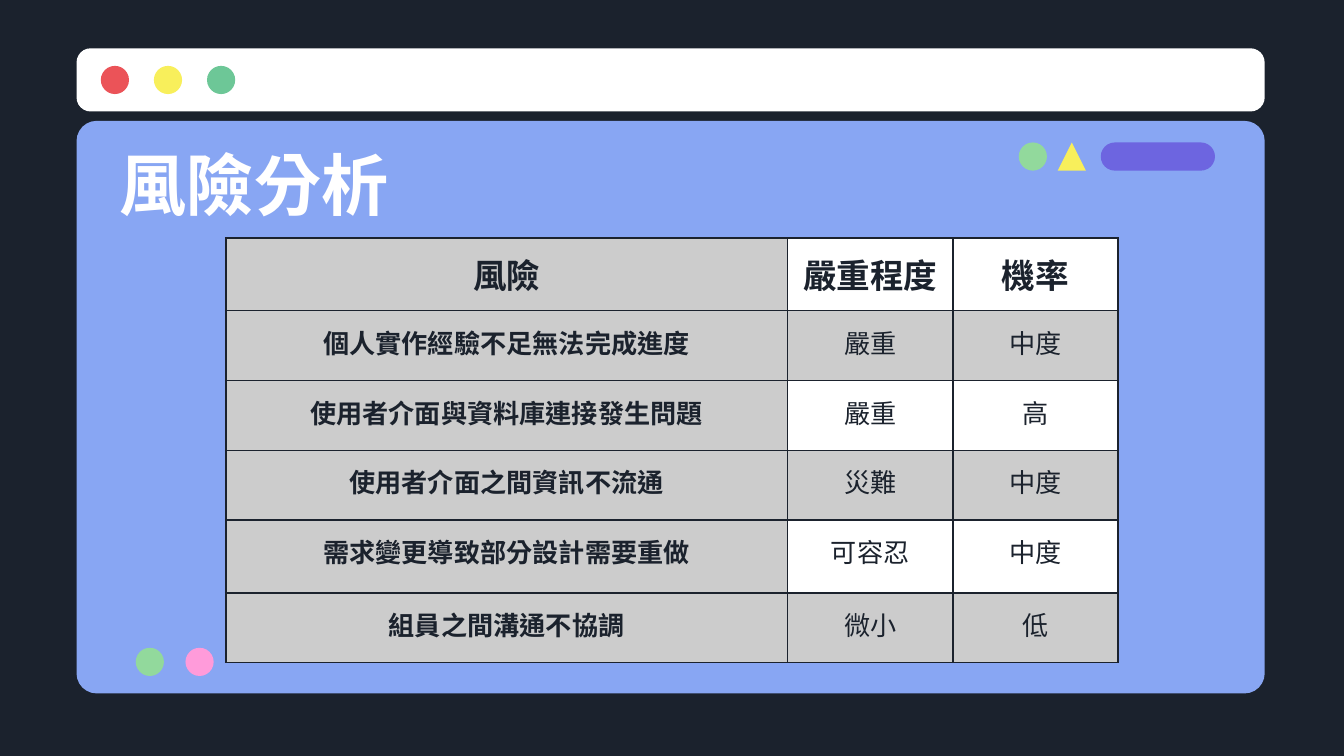
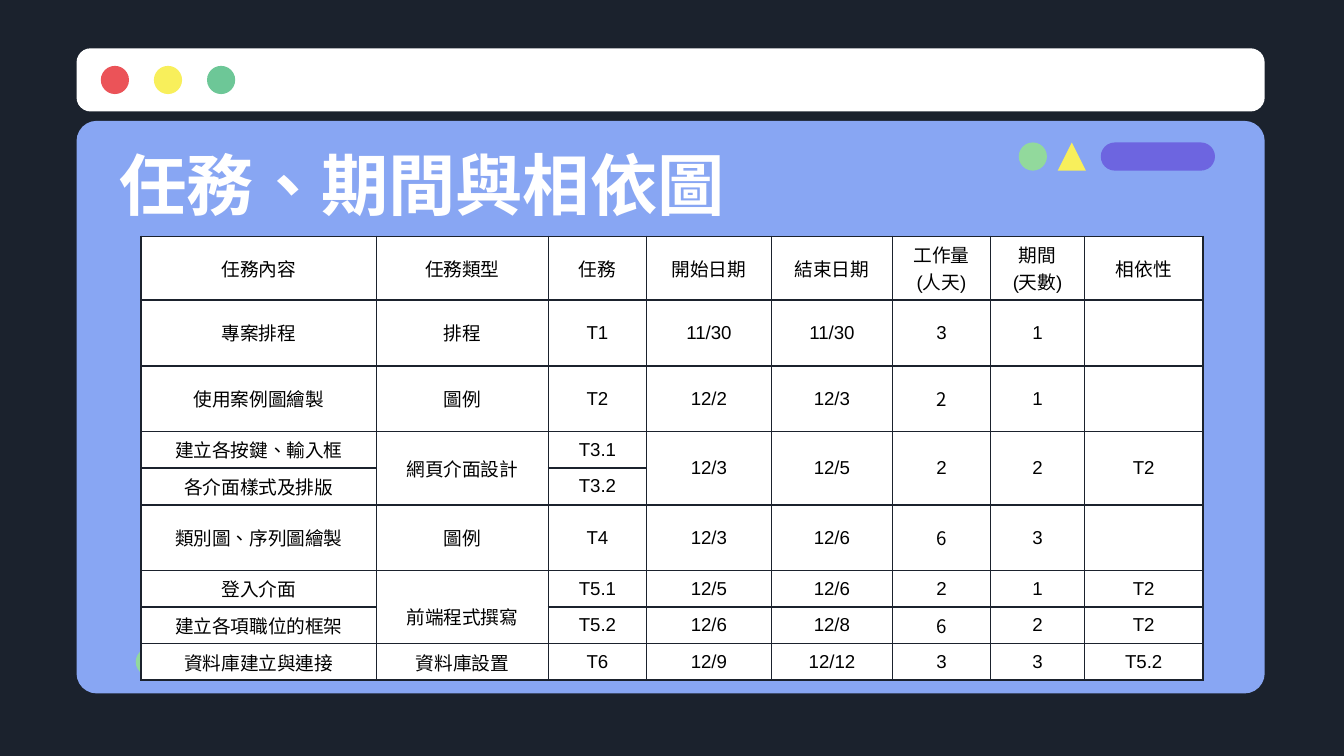
from dataclasses import dataclass

from lxml.etree import SubElement
from pptx import Presentation
from pptx.dml.color import RGBColor
from pptx.enum.shapes import MSO_SHAPE
from pptx.enum.text import MSO_ANCHOR, MSO_AUTO_SIZE, PP_ALIGN
from pptx.oxml.ns import qn
from pptx.util import Inches, Pt


@dataclass(frozen=True)
class Theme:
    dark: str = "1B222D"
    panel: str = "88A6F3"
    white: str = "FFFFFF"
    black: str = "000000"
    gray: str = "CCCCCC"
    red: str = "EB5358"
    yellow: str = "F8EF5B"
    green: str = "6DC797"
    light_green: str = "92D99C"
    purple: str = "6D65E0"
    pink: str = "FF9BDA"
    chinese_font: str = "Noto Sans CJK SC"
    latin_font: str = "Arial"
    language: str = "zh-TW"
    title_size: float = 36
    header_size: float = 18
    risk_size: float = 14
    task_size: float = 10
    border_width: float = 1


THEME = Theme()
DOT = 0.21

RISKS = [
    ("風險", "嚴重程度", "機率"),
    ("個人實作經驗不足無法完成進度", "嚴重", "中度"),
    ("使用者介面與資料庫連接發生問題", "嚴重", "高"),
    ("使用者介面之間資訊不流通", "災難", "中度"),
    ("需求變更導致部分設計需要重做", "可容忍", "中度"),
    ("組員之間溝通不協調", "微小", "低"),
]

TASKS = [
    ("任務內容", "任務類型", "任務", "開始日期", "結束日期", "工作量\n(人天)", "期間\n(天數)", "相依性"),
    ("專案排程", "排程", "T1", "11/30", "11/30", "3", "1", ""),
    ("使用案例圖繪製", "圖例", "T2", "12/2", "12/3", "2", "1", ""),
    ("建立各按鍵、輸入框", "網頁介面設計", "T3.1", "12/3", "12/5", "2", "2", "T2"),
    ("各介面樣式及排版", "", "T3.2", "", "", "", "", ""),
    ("類別圖、序列圖繪製", "圖例", "T4", "12/3", "12/6", "6", "3", ""),
    ("登入介面", "前端程式撰寫", "T5.1", "12/5", "12/6", "2", "1", "T2"),
    ("建立各項職位的框架", "", "T5.2", "12/6", "12/8", "6", "2", "T2"),
    ("資料庫建立與連接", "資料庫設置", "T6", "12/9", "12/12", "3", "3", "T5.2"),
]
MERGED_STARTS = [(3, column) for column in (1, 3, 4, 5, 6, 7)] + [(6, 1)]
CHINESE_FONT_CELLS = {(2, 5), (5, 5), (7, 5)}


def color(value):
    return RGBColor.from_string(value)


def add_run(paragraph, text, size, font_name, text_color, bold=False):
    run = paragraph.add_run()
    run.text = text
    run.font.size = Pt(size)
    run.font.bold = bold
    run.font.color.rgb = color(text_color)
    run.font.name = font_name
    properties = run.font._element
    properties.set("lang", THEME.language)
    SubElement(properties, qn("a:ea"), typeface=THEME.chinese_font)


def add_layout_shape(slide, kind, left, top, width, height, fill, adjustment=None):
    shape = slide.shapes.add_shape(
        kind, Inches(left), Inches(top), Inches(width), Inches(height))
    shape.shadow.inherit = False
    shape.fill.solid()
    shape.fill.fore_color.rgb = color(fill)
    shape.line.fill.background()
    if adjustment is not None:
        shape.adjustments[0] = adjustment
    slide.slide_layout.shapes.element.append(shape.element)


def add_dot(slide, left, top, fill):
    add_layout_shape(slide, MSO_SHAPE.OVAL, left, top, DOT, DOT, fill)


def prepare_layout(layout):
    layout.background.fill.solid()
    layout.background.fill.fore_color.rgb = color(THEME.dark)
    for placeholder in list(layout.placeholders):
        if placeholder.placeholder_format.idx != 0:
            placeholder.element.getparent().remove(placeholder.element)


def draw_window(slide):
    rounded = MSO_SHAPE.ROUNDED_RECTANGLE
    add_layout_shape(slide, rounded, 0.57, 0.9, 8.84, 4.26, THEME.panel, 0.035)
    add_layout_shape(slide, rounded, 0.57, 0.36, 8.84, 0.47, THEME.white, 0.223)
    for index, fill in enumerate((THEME.red, THEME.yellow, THEME.green)):
        add_dot(slide, 0.75 + index * 0.395, 0.49, fill)
    add_dot(slide, 7.58, 1.06, THEME.light_green)
    add_layout_shape(slide, MSO_SHAPE.ISOSCELES_TRIANGLE, 7.87, 1.06, DOT, DOT, THEME.yellow)
    add_layout_shape(slide, rounded, 8.19, 1.06, 0.85, DOT, THEME.purple, 0.5)
    add_dot(slide, 1.38, 4.82, THEME.pink)
    add_dot(slide, 1.01, 4.82, THEME.light_green)


def set_title(slide, text):
    title = slide.shapes.title
    title.left, title.top = Inches(0.79), Inches(1.06)
    title.width, title.height = Inches(8.43), Inches(0.62)
    frame = title.text_frame
    frame.auto_size = MSO_AUTO_SIZE.NONE
    frame.word_wrap = True
    frame.vertical_anchor = MSO_ANCHOR.MIDDLE
    frame.margin_left = frame.margin_right = Inches(0.1)
    frame.margin_top = frame.margin_bottom = Inches(0.1)
    paragraph = frame.paragraphs[0]
    paragraph.alignment = PP_ALIGN.LEFT
    add_run(paragraph, text, THEME.title_size, THEME.chinese_font, THEME.white, True)


def add_grid(slide, left, top, columns, rows):
    frame = slide.shapes.add_table(
        len(rows), len(columns), Inches(left), Inches(top),
        Inches(sum(columns)), Inches(sum(rows)))
    table = frame.table
    for column, width in zip(table.columns, columns):
        column.width = Inches(width)
    for row, height in zip(table.rows, rows):
        row.height = Inches(height)
    return table


def style_cell(cell, fill, inset, anchor):
    cell.margin_left = cell.margin_right = inset
    cell.margin_top = cell.margin_bottom = inset
    cell.vertical_anchor = anchor
    properties = cell._tc.get_or_add_tcPr()
    for edge in ("a:lnL", "a:lnR", "a:lnT", "a:lnB"):
        line = SubElement(properties, qn(edge), w=str(Pt(THEME.border_width)))
        solid = SubElement(line, qn("a:solidFill"))
        SubElement(solid, qn("a:srgbClr"), val=THEME.dark)
    cell.fill.solid()
    cell.fill.fore_color.rgb = color(fill)


def write_cell(cell, text, *run_style):
    frame = cell.text_frame
    for index, line in enumerate(text.split("\n")):
        paragraph = frame.add_paragraph() if index else frame.paragraphs[0]
        paragraph.alignment = PP_ALIGN.CENTER
        if line:
            add_run(paragraph, line, *run_style)


def add_risk_table(slide):
    table = add_grid(slide, 1.68, 1.77, (4.18, 1.23, 1.23),
                     (0.52, 0.52, 0.52, 0.52, 0.54, 0.52))
    for row, values in enumerate(RISKS):
        for column, text in enumerate(values):
            cell = table.cell(row, column)
            shaded = column == 0 or row % 2 == 1
            fill = THEME.gray if shaded else THEME.white
            style_cell(cell, fill, Inches(0.09), MSO_ANCHOR.TOP)
            size = THEME.risk_size if row else THEME.header_size
            write_cell(cell, text, size, THEME.chinese_font, THEME.dark,
                       row == 0 or column == 0)


def add_task_table(slide):
    table = add_grid(slide, 1.05, 1.76,
                     (1.75, 1.28, 0.73, 0.93, 0.9, 0.73, 0.7, 0.88),
                     (0.46, 0.49, 0.49, 0.27, 0.27, 0.49, 0.27, 0.27, 0.27))
    for row, column in MERGED_STARTS:
        table.cell(row, column).merge(table.cell(row + 1, column))
    for row, values in enumerate(TASKS):
        for column, text in enumerate(values):
            cell = table.cell(row, column)
            style_cell(cell, THEME.white, Pt(2.6), MSO_ANCHOR.MIDDLE)
            if cell.is_spanned:
                continue
            font_name = (THEME.chinese_font if (row, column) in CHINESE_FONT_CELLS
                         else THEME.latin_font)
            write_cell(cell, text, THEME.task_size, font_name, THEME.black)
    front_end = table.cell(6, 1)
    front_end.vertical_anchor = MSO_ANCHOR.BOTTOM
    front_end.margin_top = Inches(0)
    front_end.margin_bottom = Inches(0.1)


def main():
    presentation = Presentation()
    presentation.slide_width = Inches(10)
    presentation.slide_height = Inches(10 * 9 / 16)
    layout = presentation.slide_layouts[5]
    prepare_layout(layout)

    risk_slide = presentation.slides.add_slide(layout)
    draw_window(risk_slide)
    set_title(risk_slide, "風險分析")
    add_risk_table(risk_slide)

    task_slide = presentation.slides.add_slide(layout)
    set_title(task_slide, "任務、期間與相依圖")
    add_task_table(task_slide)

    presentation.save("out.pptx")


if __name__ == "__main__":
    main()
